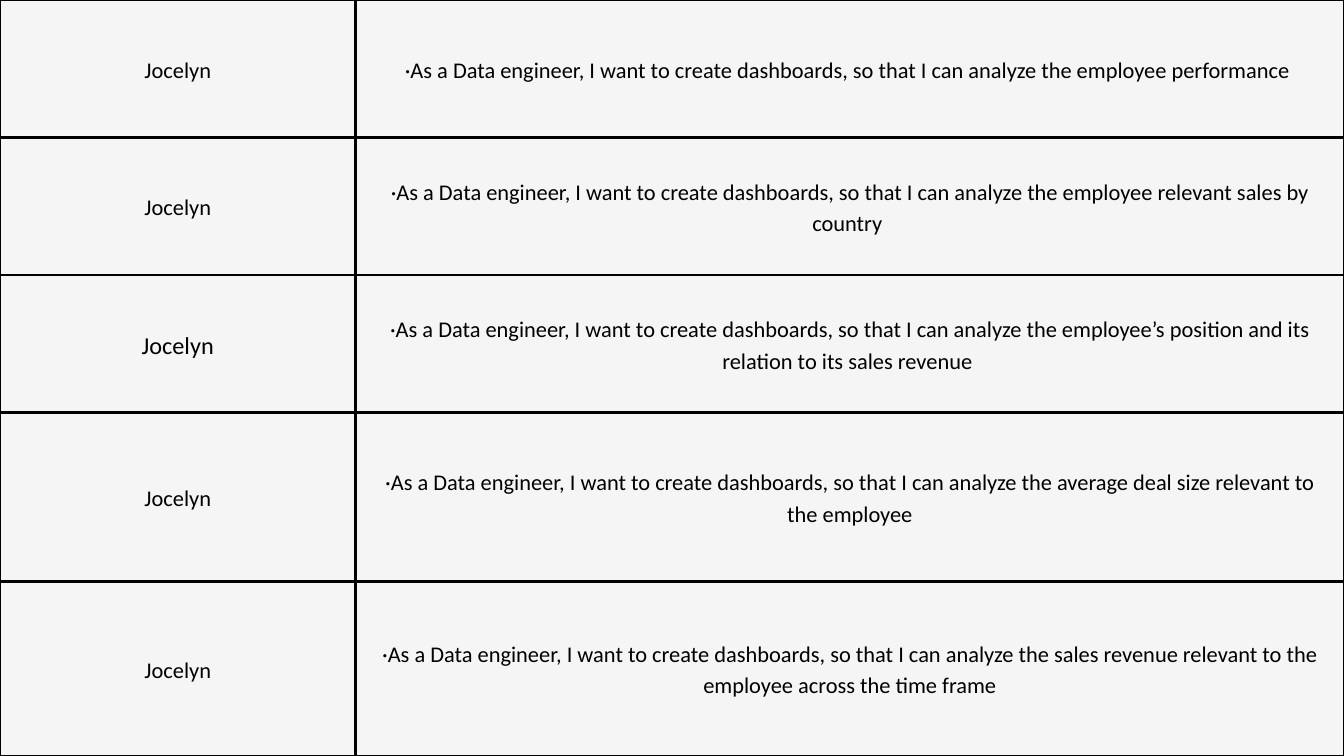
"""Build a slide with a table of user stories and the people who own them."""
from dataclasses import dataclass

import pptx
import pptx.dml.color
import pptx.enum.text
import pptx.oxml
import pptx.oxml.ns
import pptx.presentation
import pptx.slide
import pptx.table
import pptx.util
from pptx.util import Cm


@dataclass(frozen=True)
class Theme:
    background: str = "F5F5F5"
    ink: str = "000000"
    font: str = "Calibri"
    text_size: float = 24
    large_size: float = 26
    line_ratio: float = 1.4
    border_width: float = 3
    cell_margin: float = 0.53


@dataclass(frozen=True)
class Story:
    goal: str
    height: float
    owner: str = "Jocelyn"
    owner_size: float = Theme.text_size


THEME = Theme()
SLIDE_WIDTH, SLIDE_HEIGHT = 50.8, 28.58
OWNER_WIDTH = 13.44
STORY_OPENING = "·As a Data engineer, I want to create dashboards, so that I can analyze the "
STORIES = [
    Story("employee performance ", 5.2),
    Story("employee relevant sales by country ", 5.2),
    Story("employee’s position and its relation to its sales revenue ", 5.2,
          owner_size=THEME.large_size),
    Story("average deal size relevant to the employee", 6.38),
    Story("sales revenue relevant to the employee across the time frame", 6.6),
]


def draw_borders(cell: pptx.table._Cell) -> None:
    """Outline all four sides of a cell."""
    properties = cell._tc.get_or_add_tcPr()
    width = pptx.util.Pt(THEME.border_width)
    for position, side in enumerate(("lnL", "lnR", "lnT", "lnB")):
        border = pptx.oxml.parse_xml(
            f'<a:{side} {pptx.oxml.ns.nsdecls("a")} w="{width}"><a:solidFill>'
            f'<a:srgbClr val="{THEME.ink}"/></a:solidFill></a:{side}>'
        )
        properties.insert(position, border)


def fill_cell(cell: pptx.table._Cell, text: str, size: float) -> None:
    """Write centred text in a cell and style the cell."""
    cell.fill.solid()
    cell.fill.fore_color.rgb = pptx.dml.color.RGBColor.from_string(THEME.background)
    draw_borders(cell)
    cell.vertical_anchor = pptx.enum.text.MSO_ANCHOR.MIDDLE
    margin = Cm(THEME.cell_margin)
    cell.margin_left = cell.margin_right = margin
    cell.margin_top = cell.margin_bottom = margin
    paragraph = cell.text_frame.paragraphs[0]
    paragraph.alignment = pptx.enum.text.PP_ALIGN.CENTER
    paragraph.line_spacing = pptx.util.Pt(size * THEME.line_ratio)
    run = paragraph.add_run()
    run.text = text
    run.font.name = THEME.font
    run.font.size = pptx.util.Pt(size)
    run.font.color.rgb = pptx.dml.color.RGBColor.from_string(THEME.ink)


def add_story_table(slide: pptx.slide.Slide, stories: list[Story]) -> None:
    """Add a full-slide table with one row for each story."""
    table = slide.shapes.add_table(
        len(stories), 2, 0, 0, Cm(SLIDE_WIDTH), Cm(SLIDE_HEIGHT)
    ).table
    table.first_row = table.horz_banding = False
    table.columns[0].width = Cm(OWNER_WIDTH)
    table.columns[1].width = Cm(SLIDE_WIDTH - OWNER_WIDTH)
    for row, story in zip(table.rows, stories):
        row.height = Cm(story.height)
        fill_cell(row.cells[0], story.owner, story.owner_size)
        fill_cell(row.cells[1], STORY_OPENING + story.goal, THEME.text_size)


def main() -> None:
    """Build and save the presentation."""
    presentation = pptx.Presentation()
    presentation.slide_width = Cm(SLIDE_WIDTH)
    presentation.slide_height = Cm(SLIDE_HEIGHT)
    slide = presentation.slides.add_slide(presentation.slide_layouts[6])
    background = slide.background.fill
    background.solid()
    background.fore_color.rgb = pptx.dml.color.RGBColor.from_string(THEME.background)
    add_story_table(slide, STORIES)
    presentation.save("out.pptx")


if __name__ == "__main__":
    main()
